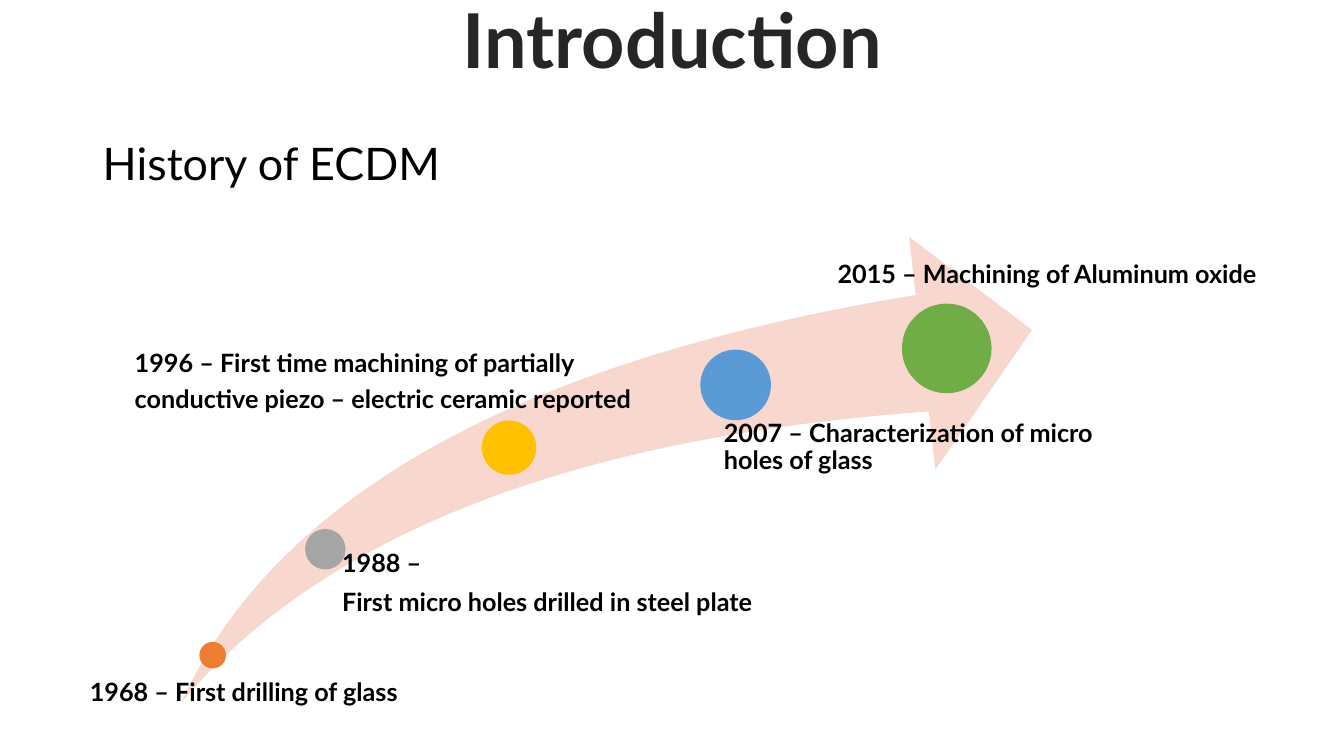
import pptx
import pptx.util
import pptx.dml.color
import pptx.enum.shapes
import pptx.enum.text

Cm = pptx.util.Cm
Pt = pptx.util.Pt
Shape = pptx.enum.shapes.MSO_SHAPE
Align = pptx.enum.text.PP_ALIGN
Anchor = pptx.enum.text.MSO_ANCHOR

# Lengths in centimetres
WIDE, HIGH = 33.87, 19.05
TITLE = ("Introduction", (2.34, 0, 29.21, 2.21))
HEAD = ("History of ECDM", (2.34, 2.34, 29.21, 3.68))
ARROW = (4.57, 5.97, 21.44, 11.73)

# dot: centre x, centre y, diameter; label: left, top, width
EVENTS = [
    dict(dot=(5.36, 16.51, 0.67), fill="ED7D31", label=(1.91, 17.12, 11.28),
         lines=["1968 – First drilling of glass"], pitch=0.9),
    dict(dot=(8.20, 13.84, 1.02), fill="A5A5A5", label=(8.08, 13.79, 13.79),
         lines=["1988 –", "First micro holes drilled in steel plate"],
         pitch=1.0),
    dict(dot=(12.83, 11.28, 1.37), fill="FFC000", label=(2.67, 8.84, 21.97),
         lines=["1996 – First time machining of partially",
                "conductive piezo – electric ceramic reported"], pitch=0.9),
    dict(dot=(18.54, 9.70, 1.78), fill="5B9BD5", label=(17.30, 10.59, 11.18),
         lines=["2007 – Characterization of micro holes of glass"], pitch=0.9),
    dict(dot=(23.86, 8.78, 2.26), fill="70AD47", label=(19.91, 6.60, 13.59),
         lines=["2015 – Machining of Aluminum oxide"], pitch=0.9),
]

THEME = dict(font="Lato", title=54, head=32, label=18,
             dark="262626", ink="000000", arrow="F8D7CE")
INSET = 0.53  # label inset as a share of the dot's diameter
GAP = 0.35    # space after a label line as a share of its type size


def color(code):
    return pptx.dml.color.RGBColor.from_string(code)


def add_form(slide, kind, box, fill):
    """Add a flat shape without outline."""
    form = slide.shapes.add_shape(kind, *map(Cm, box))
    form.shadow.inherit = False
    form.fill.solid()
    form.fill.fore_color.rgb = color(fill)
    form.line.fill.background()
    return form


def add_text(slide, lines, box, size, ink="ink", bold=False, pitch=0.9,
             after=0, align=Align.LEFT):
    """Add a wrapping text box, one paragraph per line."""
    frame = slide.shapes.add_textbox(*map(Cm, box)).text_frame
    frame.word_wrap = True
    frame.vertical_anchor = Anchor.MIDDLE
    frame.text = "\n".join(lines)
    for para in frame.paragraphs:
        para.alignment = align
        para.line_spacing = pitch
        para.space_after = Pt(after)
        para.font.name = THEME["font"]
        para.font.size = Pt(THEME[size])
        para.font.bold = bold
        para.font.color.rgb = color(THEME[ink])
    return frame


def add_event(slide, event):
    x, y, size = event["dot"]
    add_form(slide, Shape.OVAL, (x - size / 2, y - size / 2, size, size),
             event["fill"])
    left, top, width = event["label"]
    frame = add_text(slide, event["lines"], (left, top, width, HIGH - top),
                     "label", bold=True, pitch=event["pitch"],
                     after=GAP * THEME["label"])
    frame.vertical_anchor = Anchor.TOP
    frame.margin_left = Cm(INSET * size)
    frame.margin_top = frame.margin_right = frame.margin_bottom = 0


def main():
    deck = pptx.Presentation()
    deck.slide_width, deck.slide_height = Cm(WIDE), Cm(HIGH)
    slide = deck.slides.add_slide(deck.slide_layouts[6])

    text, box = HEAD
    add_text(slide, [text], box, "head")
    arrow = add_form(slide, Shape.SWOOSH_ARROW, ARROW, THEME["arrow"])
    arrow.adjustments[0] = arrow.adjustments[1] = 0.25
    for event in EVENTS:
        add_event(slide, event)
    text, box = TITLE
    add_text(slide, [text], box, "title", ink="dark", bold=True,
             align=Align.CENTER)
    deck.save("out.pptx")


if __name__ == "__main__":
    main()
